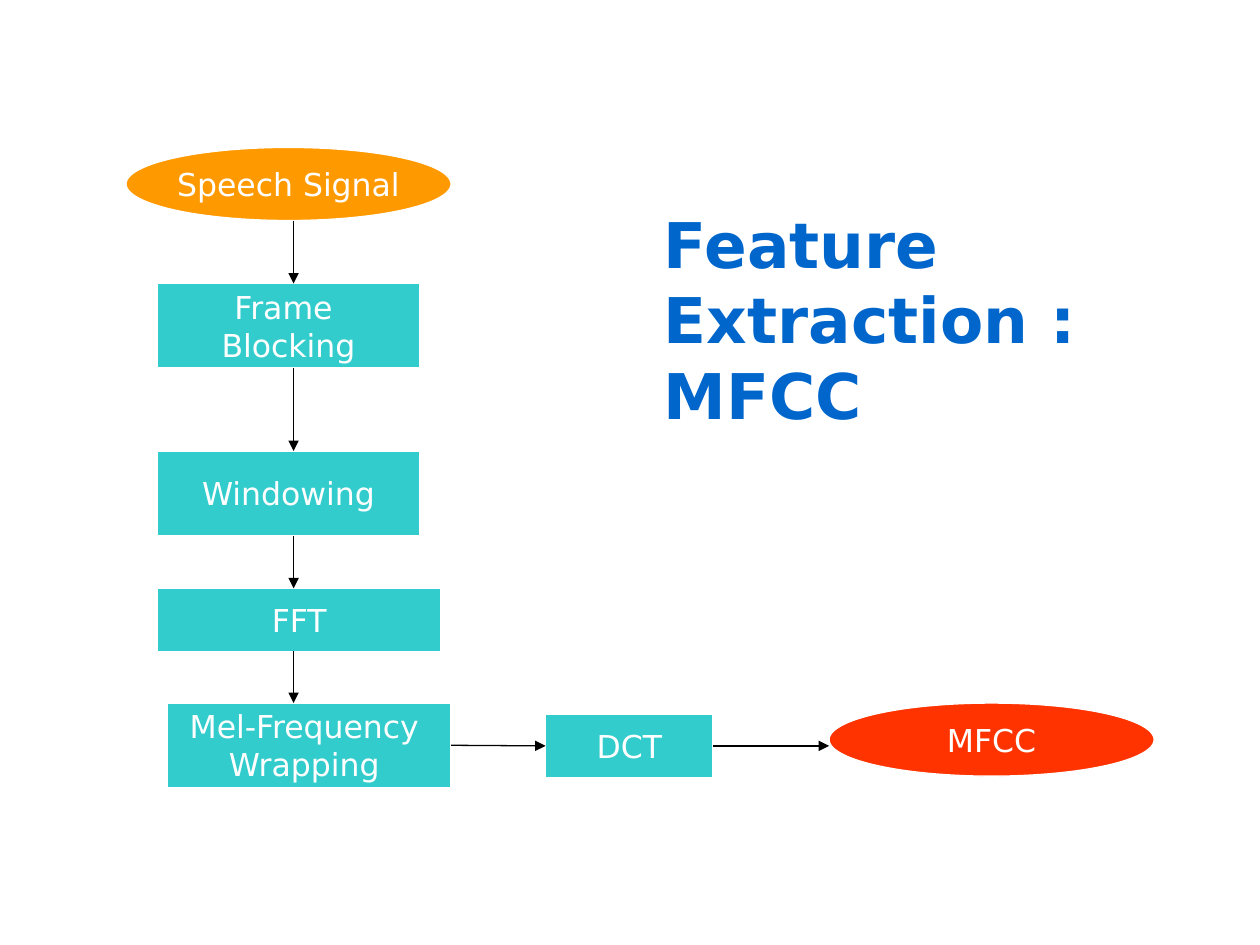
from lxml import etree
from pptx import Presentation
from pptx.dml.color import RGBColor
from pptx.enum import shapes, text
from pptx.oxml import ns
from pptx.util import Inches, Pt

WHITE = RGBColor(0xFF, 0xFF, 0xFF)
BLACK = RGBColor(0, 0, 0)
TEAL = RGBColor(0x33, 0xCC, 0xCC)
AMBER = RGBColor(0xFF, 0x99, 0x00)
RED = RGBColor(0xFF, 0x33, 0x00)
BLUE = RGBColor(0x00, 0x66, 0xCC)
FONT = "DejaVu Sans"
RECT = shapes.MSO_SHAPE.RECTANGLE
OVAL = shapes.MSO_SHAPE.OVAL

deck = Presentation()
deck.slide_width, deck.slide_height = Inches(10), Inches(7.5)
slide = deck.slides.add_slide(deck.slide_layouts[6])


def style(para, size, color, bold=False):
    for run in para.runs:
        run.font.name = FONT
        run.font.size = Pt(size)
        run.font.bold = bold
        run.font.color.rgb = color


# Steps of the pipeline: key, kind, fill, left, top, width, height, label
steps = [
    ("speech", OVAL, AMBER, 1, 1.17, 2.58, 0.58, "Speech Signal"),
    ("frame", RECT, TEAL, 1.25, 2.25, 2.08, 0.67, "Frame \nBlocking"),
    ("window", RECT, TEAL, 1.25, 3.58, 2.08, 0.67, "Windowing"),
    ("fft", RECT, TEAL, 1.25, 4.67, 2.25, 0.5, "FFT"),
    ("mel", RECT, TEAL, 1.33, 5.58, 2.25, 0.67, "Mel-Frequency \nWrapping "),
    ("dct", RECT, TEAL, 4.33, 5.67, 1.33, 0.5, "DCT"),
    ("mfcc", OVAL, RED, 6.58, 5.58, 2.58, 0.58, "MFCC"),
]
nodes = {}
for key, kind, fill, left, top, width, height, label in steps:
    node = slide.shapes.add_shape(
        kind, Inches(left), Inches(top), Inches(width), Inches(height))
    node.shadow.inherit = False
    node.fill.solid()
    node.fill.fore_color.rgb = fill
    node.line.color.rgb = WHITE
    node.line.width = Pt(0.75)
    frame = node.text_frame
    frame.word_wrap = False
    frame.vertical_anchor = text.MSO_ANCHOR.MIDDLE
    frame.text = label
    for para in frame.paragraphs:
        para.alignment = text.PP_ALIGN.CENTER
        style(para, 18, WHITE)
    nodes[key] = node

# Arrows: start x, y, end x, y, then the boxes joined at right and left
arrows = [(2.33, y1, 2.33, y2, None, None) for y1, y2 in
          [(1.75, 2.25), (2.92, 3.58), (4.25, 4.67), (5.17, 5.58)]]
arrows += [(3.58, 5.92, 4.33, 5.92, "mel", "dct"),
           (5.67, 5.92, 6.58, 5.92, "dct", None)]
for x1, y1, x2, y2, start, end in arrows:
    arrow = slide.shapes.add_connector(
        shapes.MSO_CONNECTOR.STRAIGHT,
        Inches(x1), Inches(y1), Inches(x2), Inches(y2))
    if start:
        arrow.begin_connect(nodes[start], 3)
    if end:
        arrow.end_connect(nodes[end], 1)
    arrow.line.color.rgb = BLACK
    arrow.line.width = Pt(0.75)
    line = arrow.line._get_or_add_ln()
    etree.SubElement(line, ns.qn("a:tailEnd"), type="triangle")
    etree.SubElement(arrow._element.spPr, ns.qn("a:effectLst"))

# Title
title = slide.shapes.add_textbox(
    Inches(5.17), Inches(1.58), Inches(4.25), Inches(1.9))
title.text_frame.word_wrap = True
title.text_frame.text = "Feature Extraction : MFCC"
style(title.text_frame.paragraphs[0], 36, BLUE, True)

deck.save("out.pptx")
